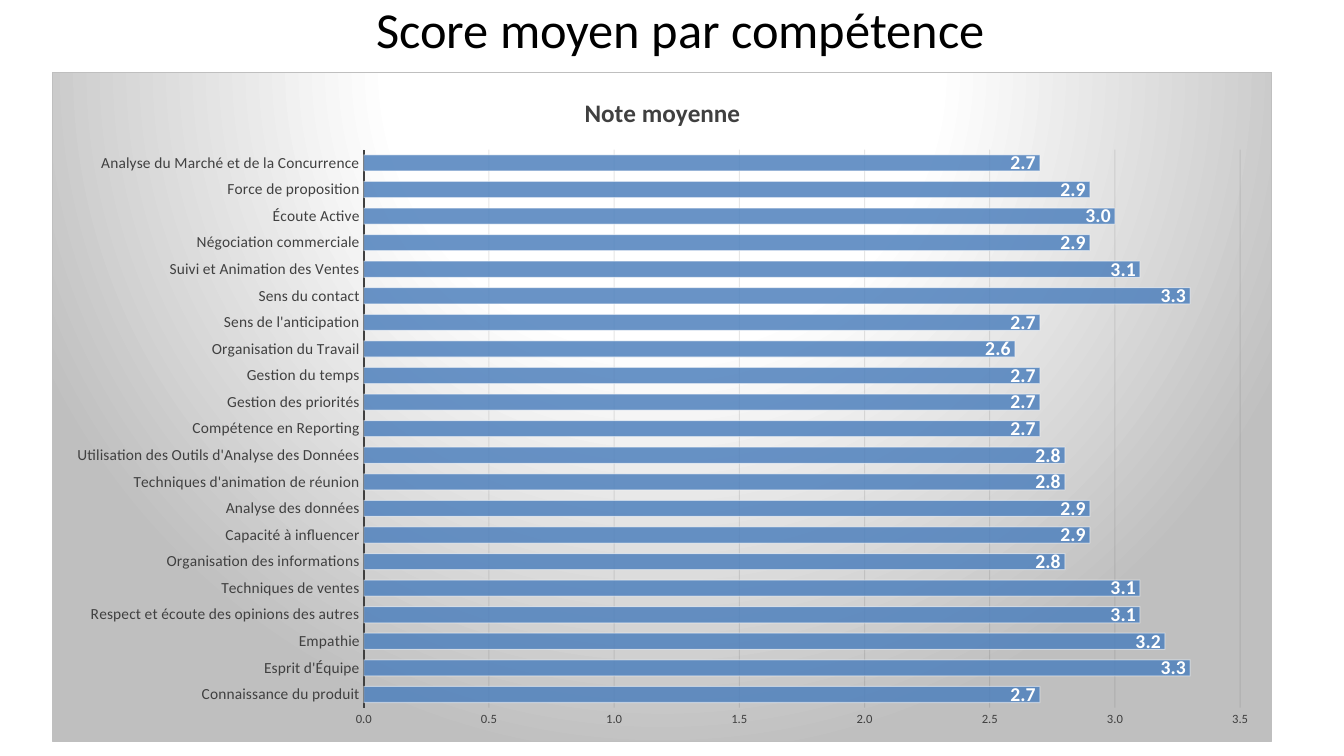
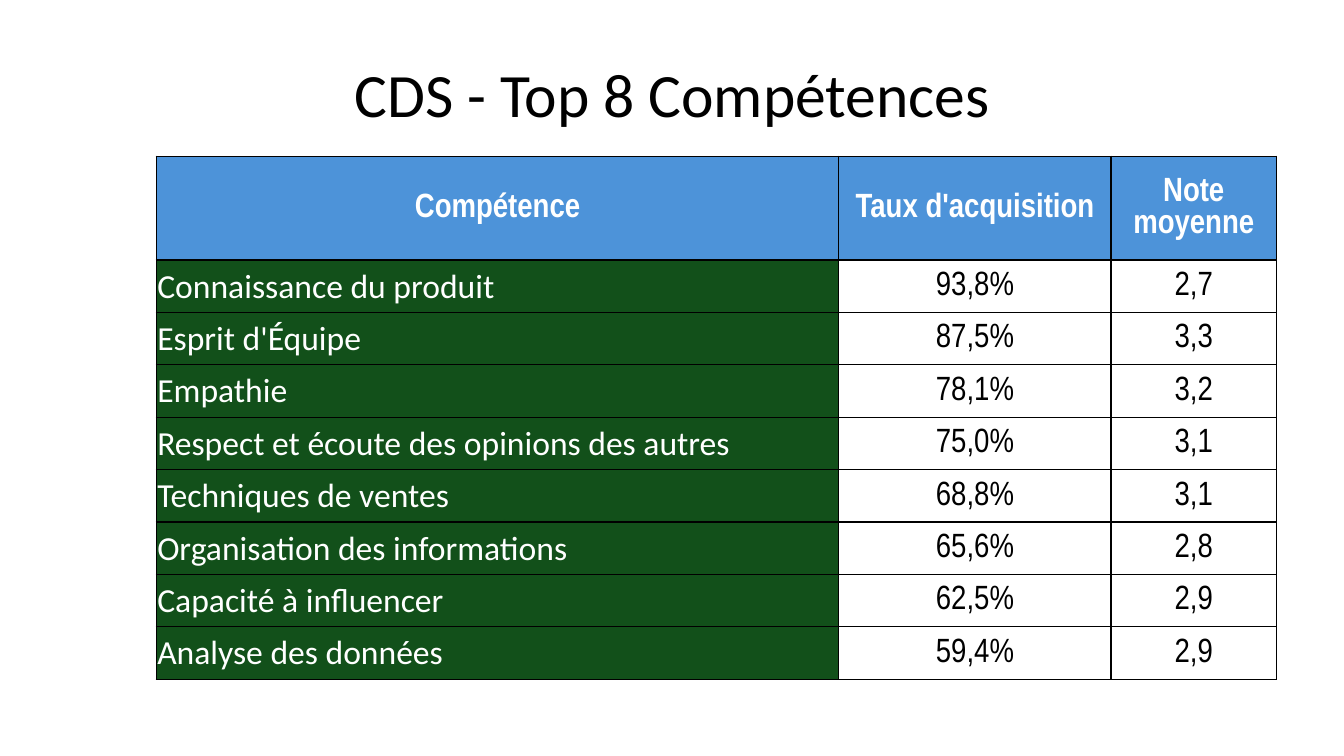
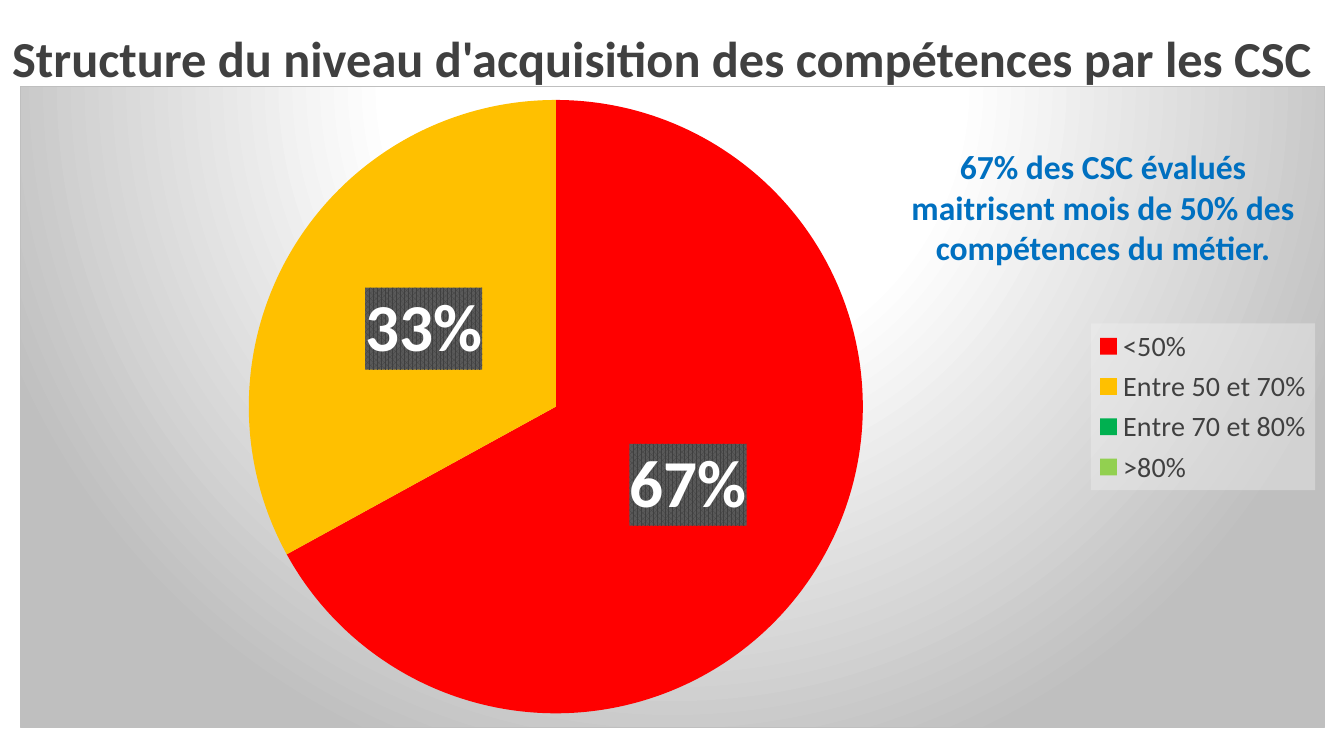
"""Build three slides on sales skills: scores, top skills and acquisition levels."""
import pptx
import pptx.chart.data
import pptx.dml.color
import pptx.enum.chart
import pptx.enum.text
import pptx.oxml
import pptx.oxml.ns
import pptx.util

Inches = pptx.util.Inches
Pt = pptx.util.Pt
BODY_FONT = "Calibri"
TABLE_FONT = "Arial Narrow"
BLACK = "000000"
WHITE = "FFFFFF"
DARK_GREY = "404040"
BLUE = "0070C0"
BAR_BLUE = "4F81BD"
HEADER_BLUE = "4D93D9"
SKILL_GREEN = "12501A"

SCORES = [
    ("Connaissance du produit", 2.7),
    ("Esprit d'Équipe", 3.3),
    ("Empathie", 3.2),
    ("Respect et écoute des opinions des autres", 3.1),
    ("Techniques de ventes", 3.1),
    ("Organisation des informations", 2.8),
    ("Capacité à influencer", 2.9),
    ("Analyse des données", 2.9),
    ("Techniques d'animation de réunion", 2.8),
    ("Utilisation des Outils d'Analyse des Données", 2.8),
    ("Compétence en Reporting", 2.7),
    ("Gestion des priorités", 2.7),
    ("Gestion du temps", 2.7),
    ("Organisation du Travail", 2.6),
    ("Sens de l'anticipation", 2.7),
    ("Sens du contact", 3.3),
    ("Suivi et Animation des Ventes", 3.1),
    ("Négociation commerciale", 2.9),
    ("Écoute Active", 3.0),
    ("Force de proposition", 2.9),
    ("Analyse du Marché et de la Concurrence", 2.7),
]
RATES = ["93,8%", "87,5%", "78,1%", "75,0%", "68,8%", "65,6%", "62,5%", "59,4%"]
LEVELS = [
    ("<50%", 67, "FF0000"),
    ("Entre 50 et 70%", 33, "FFC000"),
    ("Entre 70 et 80%", 0, "00B050"),
    (">80%", 0, "92D050"),
]


def color(value):
    """Return the colour for a hex string."""
    return pptx.dml.color.RGBColor.from_string(value)


def style_font(font, size, value, bold=False, name=BODY_FONT):
    """Set the face, size, colour and weight of a font."""
    font.name, font.size, font.bold = name, Pt(size), bold
    font.color.rgb = color(value)


def make_xml(markup):
    """Turn markup with the a and c prefixes into an element."""
    head, mark, rest = markup.partition(">")
    return pptx.oxml.parse_xml(f"{head} {pptx.oxml.ns.nsdecls('a', 'c')}{mark}{rest}")


def add_text(slide, box, text, size, value=BLACK, bold=False, middle=True):
    """Add a centred text box and return its frame."""
    frame = slide.shapes.add_textbox(*map(Inches, box)).text_frame
    frame.word_wrap = True
    anchor = pptx.enum.text.MSO_ANCHOR
    frame.vertical_anchor = anchor.MIDDLE if middle else anchor.TOP
    frame.text = text
    paragraph = frame.paragraphs[0]
    paragraph.alignment = pptx.enum.text.PP_ALIGN.CENTER
    style_font(paragraph.runs[0].font, size, value, bold)
    return frame


def layout_xml(x, y, width, height, inner=False):
    """Return a manual chart layout given in fractions of the chart."""
    target = '<c:layoutTarget val="inner"/>' if inner else ""
    return make_xml(
        f'<c:layout><c:manualLayout>{target}<c:xMode val="edge"/><c:yMode val="edge"/>'
        f'<c:x val="{x}"/><c:y val="{y}"/><c:w val="{width}"/><c:h val="{height}"/>'
        "</c:manualLayout></c:layout>")


def set_alpha(chart, query, percent):
    """Make the colours found by the query partly transparent."""
    for found in chart.element.xpath(query):
        found.append(make_xml(f'<a:alpha val="{percent * 1000}"></a:alpha>'))


def add_chart(slide, kind, box, plot, name, categories, values):
    """Add a one-series chart on the shared grey radial background."""
    data = pptx.chart.data.CategoryChartData()
    data.categories = categories
    data.add_series(name, values)
    chart = slide.shapes.add_chart(kind, *map(Inches, box), data).chart
    style_font(chart.font, 10, BLACK)
    stops = "".join(
        f'<a:gs pos="{position}"><a:srgbClr val="{value}"/></a:gs>'
        for position, value in [(0, WHITE), (39000, WHITE), (100000, "BFBFBF")])
    chart.element.xpath("c:chart")[0].addnext(make_xml(
        f'<c:spPr><a:gradFill><a:gsLst>{stops}</a:gsLst><a:path path="circle">'
        '<a:fillToRect l="50000" t="-80000" r="50000" b="180000"/></a:path></a:gradFill>'
        '<a:ln w="9525"><a:solidFill><a:srgbClr val="BFBFBF"/></a:solidFill></a:ln></c:spPr>'))
    for old in chart.element.xpath("c:chart/c:plotArea/c:layout"):
        old.getparent().remove(old)
    chart.element.xpath("c:chart/c:plotArea")[0].insert(0, layout_xml(*plot, inner=True))
    return chart


def add_labels(series, size, position):
    """Show bold white data labels on a series."""
    labels = series.data_labels
    style_font(labels.font, size, WHITE, True)
    labels.position = position
    return labels


def style_axis(axis, size):
    """Remove the tick marks and set the label font."""
    axis.major_tick_mark = axis.minor_tick_mark = pptx.enum.chart.XL_TICK_MARK.NONE
    style_font(axis.tick_labels.font, size, DARK_GREY)


def add_score_chart(slide):
    """Add the bar chart of mean scores."""
    names, values = zip(*SCORES)
    chart = add_chart(
        slide, pptx.enum.chart.XL_CHART_TYPE.BAR_CLUSTERED, (0.52, 0.71, 12.1, 6.65),
        (0.255, 0.116, 0.719, 0.834), "Note moyenne", names, values)
    chart.has_legend = False
    chart.has_title = True
    title = chart.chart_title.text_frame
    title.text = "Note moyenne"
    style_font(title.paragraphs[0].runs[0].font, 18, DARK_GREY, True)
    style_axis(chart.category_axis, 11)
    line = chart.category_axis.format.line
    line.color.rgb, line.width = color(DARK_GREY), Pt(1.5)
    axis = chart.value_axis
    style_axis(axis, 9)
    axis.minimum_scale, axis.maximum_scale, axis.major_unit = 0, 3.5, 0.5
    axis.tick_labels.number_format = "0.0"
    axis.tick_labels.number_format_is_linked = False
    axis.format.line.fill.background()
    grid = axis.major_gridlines.format.line
    grid.color.rgb, grid.width = color("0D0D0D"), Pt(0.75)
    plot = chart.plots[0]
    plot.gap_width, plot.vary_by_categories = 65, False
    series = plot.series[0]
    series.format.fill.solid()
    series.format.fill.fore_color.rgb = color(BAR_BLUE)
    series.format.line.color.rgb = color(WHITE)
    series.format.line.width = Pt(0.75)
    labels = add_labels(series, 14, pptx.enum.chart.XL_LABEL_POSITION.INSIDE_END)
    labels.show_value = True
    labels.number_format, labels.number_format_is_linked = "0.0", False
    set_alpha(chart, ".//c:majorGridlines//a:srgbClr", 10)
    set_alpha(chart, ".//c:ser/c:spPr/a:solidFill/a:srgbClr", 85)
    set_alpha(chart, ".//c:ser/c:spPr/a:ln//a:srgbClr", 50)


def add_level_chart(slide):
    """Add the pie chart of acquisition levels."""
    names, values, fills = zip(*LEVELS)
    chart = add_chart(
        slide, pptx.enum.chart.XL_CHART_TYPE.PIE, (0.2, 0.85, 12.94, 6.37),
        (0.175, 0.021, 0.471, 0.958), "Series 1", names, values)
    chart.has_title = False
    chart.has_legend = True
    legend = chart.legend
    legend.position = pptx.enum.chart.XL_LEGEND_POSITION.RIGHT
    legend.include_in_layout = False
    style_font(legend.font, 20, DARK_GREY)
    for old in chart.element.xpath(".//c:legend/c:layout"):
        old.getparent().remove(old)
    chart.element.xpath(".//c:legend/c:legendPos")[0].addnext(
        layout_xml(0.821, 0.37, 0.172, 0.26))
    chart.element.xpath(".//c:legend/c:txPr")[0].addprevious(make_xml(
        '<c:spPr><a:solidFill><a:srgbClr val="F2F2F2"><a:alpha val="39000"/></a:srgbClr>'
        "</a:solidFill></c:spPr>"))
    series = chart.plots[0].series[0]
    for index, value in enumerate(fills):
        fill = series.points[index].format.fill
        fill.solid()
        fill.fore_color.rgb = color(value)
    labels = add_labels(series, 48, pptx.enum.chart.XL_LABEL_POSITION.CENTER)
    labels.show_value, labels.show_percentage = False, True
    labels.number_format, labels.number_format_is_linked = "0%", False
    label_list = chart.element.xpath(".//c:ser/c:dLbls")[0]
    label_list.xpath("c:txPr")[0].addprevious(make_xml(
        '<c:spPr><a:pattFill prst="pct75"><a:fgClr><a:srgbClr val="404040"/></a:fgClr>'
        '<a:bgClr><a:srgbClr val="595959"/></a:bgClr></a:pattFill></c:spPr>'))
    empty = [index for index, value in enumerate(values) if value == 0]
    for place, index in enumerate(empty):
        label_list.insert(place, make_xml(
            f'<c:dLbl><c:idx val="{index}"/><c:delete val="1"/></c:dLbl>'))


def fill_cell(cell, text, value, fill=None, bold=False, name=TABLE_FONT, centred=True):
    """Write one bordered table cell."""
    cell.margin_left = cell.margin_right = cell.margin_top = Inches(0.01)
    cell.margin_bottom = 0
    cell.vertical_anchor = pptx.enum.text.MSO_ANCHOR.MIDDLE
    cell.text = text
    paragraph = cell.text_frame.paragraphs[0]
    align = pptx.enum.text.PP_ALIGN
    paragraph.alignment = align.CENTER if centred else align.LEFT
    style_font(paragraph.runs[0].font, 24, value, bold, name)
    for side in "LRTB":
        cell._tc.get_or_add_tcPr().append(make_xml(
            f'<a:ln{side} w="12700"><a:solidFill><a:srgbClr val="{BLACK}"/></a:solidFill>'
            f"</a:ln{side}>"))
    if fill:
        cell.fill.solid()
        cell.fill.fore_color.rgb = color(fill)
    else:
        cell.fill.background()


def add_skill_table(slide):
    """Add the table of the best acquired skills."""
    box = map(Inches, (1.55, 1.55, 11.11, 5.21))
    table = slide.shapes.add_table(len(RATES) + 1, 3, *box).table
    table.first_row = table.horz_banding = False
    for column, width in zip(table.columns, (6.77, 2.7, 1.64)):
        column.width = Inches(width)
    for index, row in enumerate(table.rows):
        row.height = Inches(0.52 if index else 1.03)
    for column, text in enumerate(("Compétence", "Taux d'acquisition", "Note moyenne")):
        fill_cell(table.cell(0, column), text, WHITE, HEADER_BLUE, True)
    for row, ((skill, score), rate) in enumerate(zip(SCORES, RATES), 1):
        fill_cell(table.cell(row, 0), skill, WHITE, SKILL_GREEN, name=BODY_FONT, centred=False)
        fill_cell(table.cell(row, 1), rate, BLACK)
        fill_cell(table.cell(row, 2), f"{score:.1f}".replace(".", ","), BLACK)


def main():
    """Build and save the presentation."""
    presentation = pptx.Presentation()
    presentation.slide_width, presentation.slide_height = Inches(13.33), Inches(7.5)
    blank = presentation.slide_layouts[6]

    slide = presentation.slides.add_slide(blank)
    add_text(slide, (1.77, 0, 9.96, 0.57), "Score moyen par compétence", 36)
    add_score_chart(slide)

    slide = presentation.slides.add_slide(blank)
    add_text(slide, (0.67, 0.3, 12, 1.25), "CDS - Top 8 Compétences", 44)
    add_skill_table(slide)

    slide = presentation.slides.add_slide(blank)
    add_level_chart(slide)
    add_text(slide, (0, -0.06, 13.14, 1.25),
             "Structure du niveau d'acquisition des compétences par les CSC",
             36, DARK_GREY, True)
    frame = add_text(slide, (8.89, 1.4, 4.1, 1.31),
                     "67% des CSC évalués maitrisent mois de 50% des compétences du métier.",
                     24, BLUE, True, middle=False)
    frame.auto_size = pptx.enum.text.MSO_AUTO_SIZE.SHAPE_TO_FIT_TEXT

    presentation.save("out.pptx")


if __name__ == "__main__":
    main()
